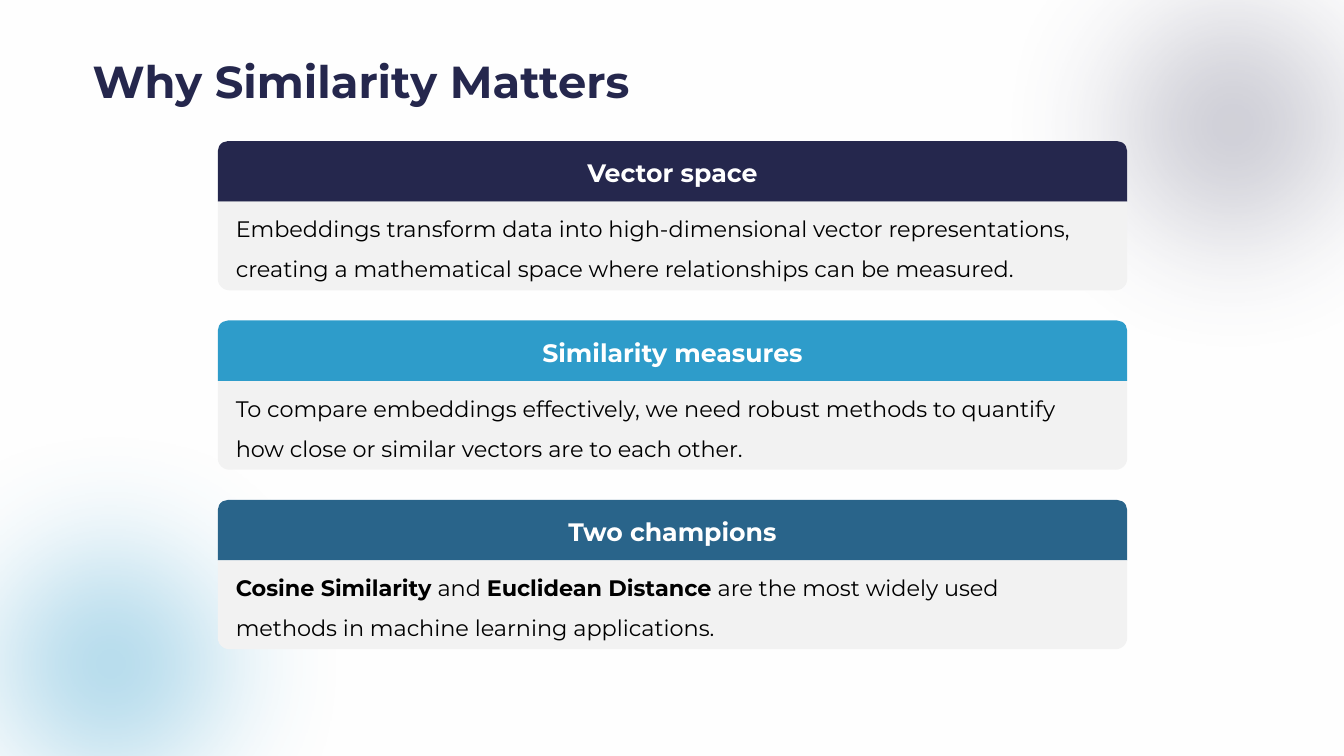
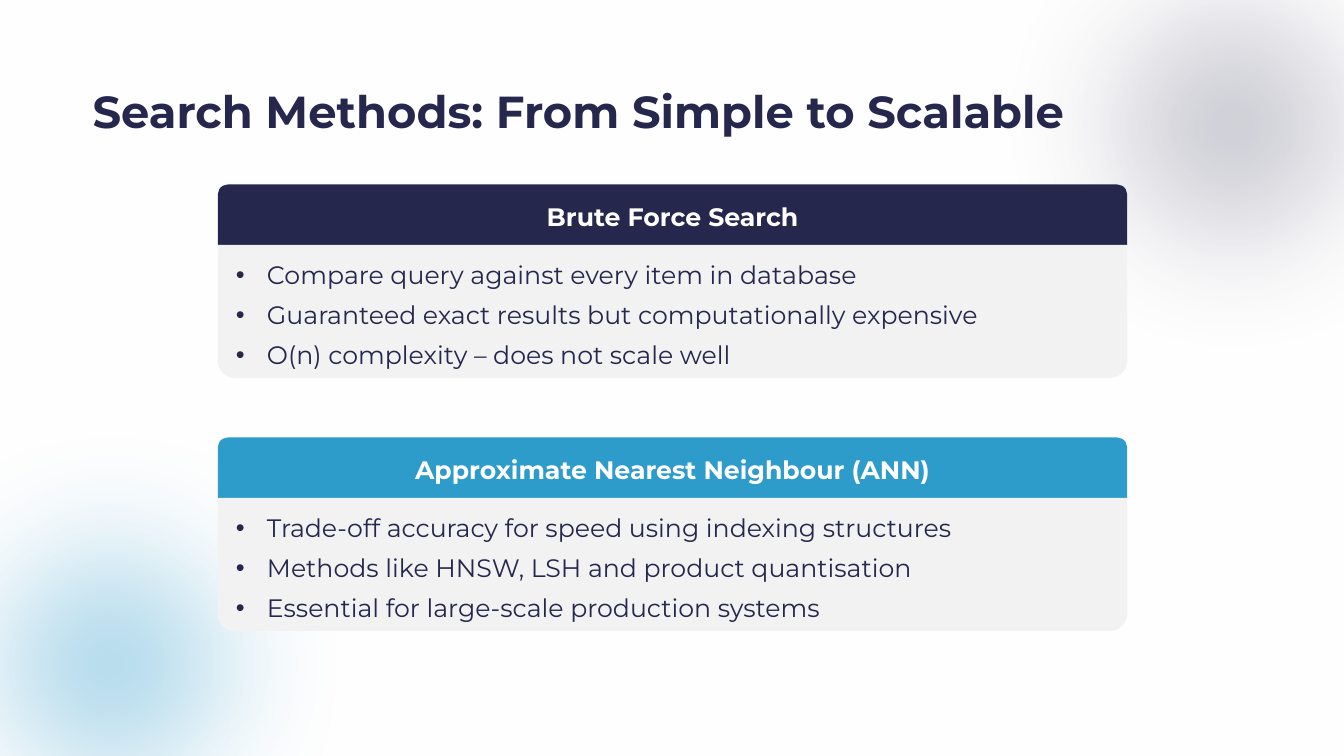
from lxml import etree
from pptx import Presentation
from pptx.dml.color import RGBColor
from pptx.enum.shapes import MSO_SHAPE
from pptx.enum.text import MSO_ANCHOR, PP_ALIGN
from pptx.oxml.ns import qn
from pptx.util import Inches, Pt

OVAL = MSO_SHAPE.OVAL
TAB = MSO_SHAPE.ROUND_2_SAME_RECTANGLE
MIDDLE = MSO_ANCHOR.MIDDLE
CENTER = PP_ALIGN.CENTER

NAVY, BLUE, TEAL = "25274D", "2E9CCA", "29648A"
GREY, PALE, PANEL = "464866", "FEFEFE", "F2F2F2"
WHITE, BLACK = "FFFFFF", "000000"
LEFT, WIDE, HEAD = 2.16, 9.02, 0.6


def add_block(shapes, kind, box, color):
    """Add a plain filled shape; box is left, top, width, height in inches."""
    block = shapes.add_shape(kind, *map(Inches, box))
    block.shadow.inherit = False
    block.fill.solid()
    block.fill.fore_color.rgb = RGBColor.from_string(color)
    block.line.fill.background()
    return block


def set_font(par, size, color, bold=None):
    font = par.font
    font.name, font.size, font.bold = "Montserrat", Pt(size), bold
    font.color.rgb = RGBColor.from_string(color)


# Text between ** marks is bold.
pages = [
    {
        "title": "Why Similarity Matters", "lead": 0.9,
        "top": 1.4, "step": 1.78, "body": 0.88, "drop": 0.56,
        "size": 16, "color": BLACK, "dots": False,
        "cards": [
            ("Vector space", [
                "Embeddings transform data into high-dimensional vector "
                "representations, creating a mathematical space where "
                "relationships can be measured."]),
            ("Similarity measures", [
                "To compare embeddings effectively, we need robust methods to "
                "quantify how close or similar vectors are to each other."]),
            ("Two champions", [
                "**Cosine Similarity** and **Euclidean Distance** are the most "
                "widely used methods in machine learning applications."]),
        ],
    },
    {
        "title": "Search Methods: From Simple to Scalable", "lead": Pt(55.5),
        "top": 1.83, "step": 2.51, "body": 1.32, "drop": HEAD,
        "size": 18, "color": NAVY, "dots": True,
        "cards": [
            ("Brute Force Search", [
                "Compare query against every item in database",
                "Guaranteed exact results but computationally expensive",
                "O(n) complexity – does not scale well"]),
            ("Approximate Nearest Neighbour (ANN)", [
                "Trade-off accuracy for speed using indexing structures",
                "Methods like HNSW, LSH and product quantisation",
                "Essential for large-scale production systems"]),
        ],
    },
]

prs = Presentation()
prs.slide_width, prs.slide_height = Inches(13.33), Inches(7.5)
layout = prs.slide_layouts[6]
slides = [prs.slides.add_slide(layout) for page in pages]

# The background and its soft glows live on the shared layout.
layout.background.fill.solid()
layout.background.fill.fore_color.rgb = RGBColor.from_string(PALE)
for spare in list(layout.placeholders):
    layout.shapes.element.remove(spare.element)
glows = []
for left, top, color, alpha in [(-1.86, 3.63, BLUE, 40), (9.27, -1.72, GREY, 30)]:
    glow = add_block(slides[0].shapes, OVAL, (left, top, 5.92, 5.92), color)
    props = glow.element.spPr
    tone = props.find(qn("a:solidFill")).find(qn("a:srgbClr"))
    etree.SubElement(tone, qn("a:alpha"), val=str(alpha * 1000))
    etree.SubElement(props.find(qn("a:effectLst")), qn("a:softEdge"), rad="1270000")
    glows.append(glow)
for glow in glows:
    layout.shapes.element.append(glow.element)

for slide, page in zip(slides, pages):
    title = slide.shapes.add_textbox(*map(Inches, (0.82, 0.54, 11.62, 0.59)))
    title.text_frame.word_wrap = True
    par = title.text_frame.paragraphs[0]
    par.text, par.line_spacing = page["title"], page["lead"]
    set_font(par, 32, NAVY, True)

    for row, (name, lines) in enumerate(page["cards"]):
        top = page["top"] + row * page["step"]
        card = slide.shapes.add_group_shape().shapes

        head = add_block(card, TAB, (LEFT, top, WIDE, HEAD), (NAVY, BLUE, TEAL)[row])
        head.text_frame.vertical_anchor = MIDDLE
        par = head.text_frame.paragraphs[0]
        par.text, par.alignment = name, CENTER
        set_font(par, 18, WHITE, True)

        panel = add_block(card, TAB, (LEFT, top + HEAD, WIDE, page["body"]), PANEL)
        panel.rotation = 180
        panel.adjustments[0] = 0.13

        text = card.add_textbox(Inches(2.24), Inches(top + page["drop"]),
                                Inches(8.8), Inches(page["body"]))
        frame = text.text_frame
        frame.word_wrap = True
        for spot, line in enumerate(lines):
            par = frame.add_paragraph() if spot else frame.paragraphs[0]
            if page["dots"]:
                props = par._p.get_or_add_pPr()
                props.set("marL", str(Inches(0.31)))
                props.set("indent", str(-Inches(0.31)))
                etree.SubElement(props, qn("a:buFont"), typeface="Arial")
                etree.SubElement(props, qn("a:buChar"), char="•")
            par.line_spacing = Pt(28.5)
            set_font(par, page["size"], page["color"])
            for part, words in enumerate(line.split("**")):
                if words:
                    run = par.add_run()
                    run.text = words
                    if part % 2:
                        run.font.bold = True

prs.save("out.pptx")
